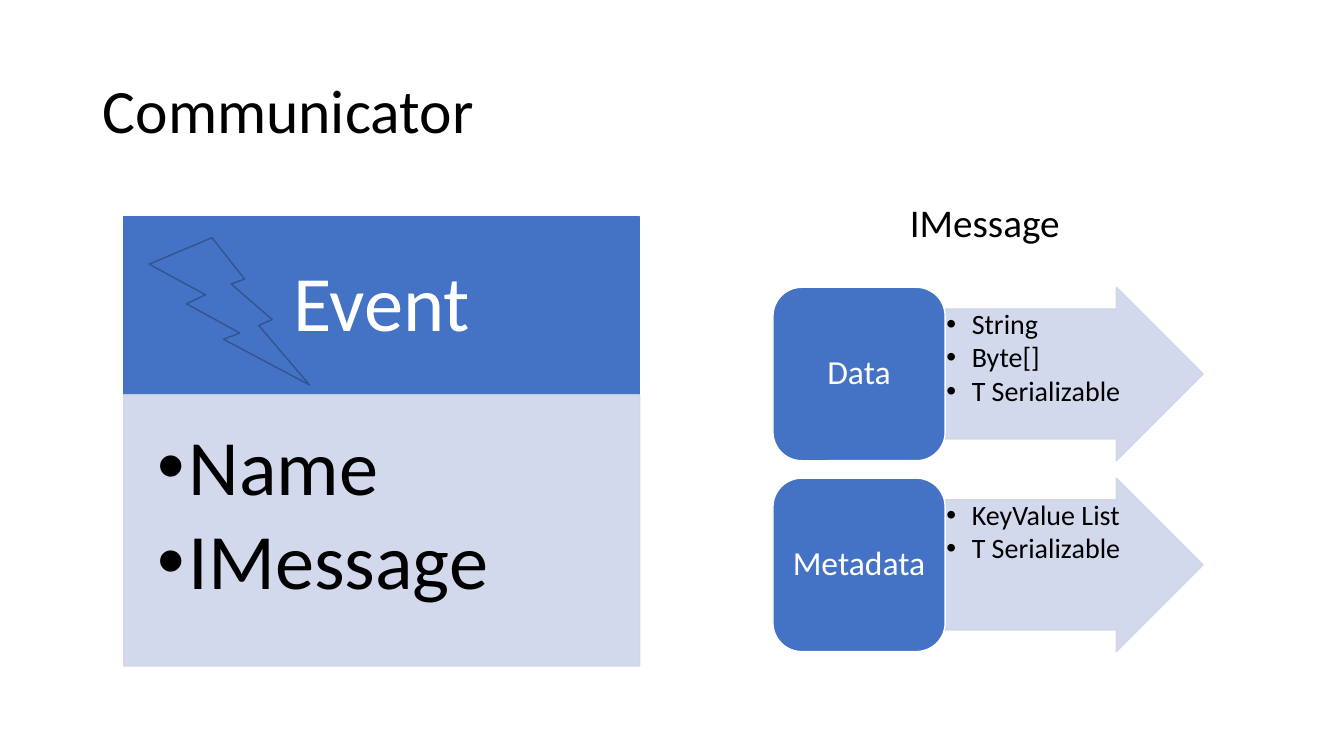
from dataclasses import dataclass

from lxml import etree
from pptx import Presentation
from pptx import util as u
from pptx.dml.color import RGBColor
from pptx.enum import shapes, text
from pptx.oxml.ns import qn

SHAPE = shapes.MSO_SHAPE
MIDDLE = text.MSO_ANCHOR.MIDDLE
CENTER = text.PP_ALIGN.CENTER


@dataclass(frozen=True)
class Theme:
    font: str = "Calibri"
    ink: str = "000000"
    white: str = "FFFFFF"
    blue: str = "4472C4"
    dark_blue: str = "325491"
    pale: str = "CFD5EA"
    title: int = 44
    event: int = 56
    heading: int = 28
    label: int = 24
    item: int = 20


def rgb(value):
    return RGBColor.from_string(value)


def add_bullet(p, indent):
    """Give a paragraph a round bullet hanging by indent centimetres."""
    pPr = p._p.get_or_add_pPr()
    pPr.set("marL", str(u.Cm(indent)))
    pPr.set("indent", str(-u.Cm(indent)))
    etree.SubElement(pPr, qn("a:buFont"), typeface="Arial")
    etree.SubElement(pPr, qn("a:buChar"), char="•")


def set_text(sp, lines, theme, size, color, align=None, anchor=text.MSO_ANCHOR.TOP,
             insets=(0.25, 0.13, 0.25, 0.13), spacing=0.9, bullet=None):
    """Write one paragraph per line; insets are left, top, right, bottom in cm."""
    tf = sp.text_frame
    tf.word_wrap = True
    tf.vertical_anchor = anchor
    tf.margin_left, tf.margin_top, tf.margin_right, tf.margin_bottom = map(u.Cm, insets)
    for i, line in enumerate(lines):
        p = tf.add_paragraph() if i else tf.paragraphs[0]
        p.alignment = align or text.PP_ALIGN.LEFT
        p.line_spacing = spacing
        if bullet:
            p.space_after = u.Pt(round(size * 0.12, 1))
            add_bullet(p, bullet)
        r = p.add_run()
        r.text = line
        r.font.name, r.font.size = theme.font, u.Pt(size)
        r.font.color.rgb = rgb(color)


class Deck:
    def __init__(self, theme):
        self.theme = theme
        self.prs = Presentation()
        self.prs.slide_width, self.prs.slide_height = u.Cm(33.87), u.Cm(19.05)
        self.s = self.prs.slides.add_slide(self.prs.slide_layouts[6])

    def label(self, box, line, **fmt):
        sp = self.s.shapes.add_textbox(*map(u.Cm, box))
        set_text(sp, [line], self.theme, color=self.theme.ink, **fmt)

    def shape(self, kind, box, fill, line, opacity=100):
        sp = self.s.shapes.add_shape(kind, *map(u.Cm, box))
        sp.shadow.inherit = False
        sp.fill.solid()
        sp.fill.fore_color.rgb = rgb(fill)
        sp.line.color.rgb = rgb(line)
        sp.line.width = u.Pt(1)
        if opacity < 100:
            for color in sp._element.spPr.iter(qn("a:srgbClr")):
                etree.SubElement(color, qn("a:alpha"), val=str(opacity * 1000))
        return sp

    def block(self, kind, box, line, size, outline):
        """Blue shape with one centred white caption."""
        t = self.theme
        sp = self.shape(kind, box, t.blue, outline)
        set_text(sp, [line], t, size, t.white, align=CENTER, anchor=MIDDLE,
                 insets=(0, 0, 0, 0))

    def bullets(self, kind, box, lines, size, insets, indent):
        """Pale translucent shape with a bulleted list."""
        t = self.theme
        sp = self.shape(kind, box, t.pale, t.pale, opacity=90)
        if kind == SHAPE.RIGHT_ARROW:
            sp.adjustments[0], sp.adjustments[1] = 0.75, 0.5
        set_text(sp, lines, t, size, t.ink, insets=insets, bullet=indent)


def main():
    t = Theme()
    deck = Deck(t)
    deck.label((2.34, 1.02, 29.21, 3.68), "Communicator", size=t.title, anchor=MIDDLE)

    parts = {
        "Data": ["String", "Byte[]", "T Serializable"],
        "Metadata": ["KeyValue List", "T Serializable"],
    }
    left, top, width, height, pitch = 19.48, 7.24, 4.34, 4.37, 4.81
    for i, (name, kinds) in enumerate(parts.items()):
        y = top + i * pitch
        deck.bullets(SHAPE.RIGHT_ARROW, (left + width, y, 6.5, height), kinds, t.item,
                     insets=(0.03,) * 4, indent=0.64)
        deck.block(SHAPE.ROUNDED_RECTANGLE, (left, y, width, height), name, t.label, t.white)
    deck.label((22.68, 4.88, 4.45, 1.45), "IMessage", size=t.heading, spacing=1.0)

    x, y, width, head = 3.12, 5.47, 13, 4.48
    deck.block(SHAPE.RECTANGLE, (x, y, width, head), "Event", t.event, t.blue)
    deck.bullets(SHAPE.RECTANGLE, (x, y + head, width, 6.83), ["Name", "IMessage"], t.event,
                 insets=(0.84, 0.84, 1.12, 1.24), indent=0.79)
    deck.shape(SHAPE.LIGHTNING_BOLT, (3.76, 5.99, 4.04, 3.71), t.blue, t.dark_blue)

    deck.prs.save("out.pptx")


if __name__ == "__main__":
    main()
